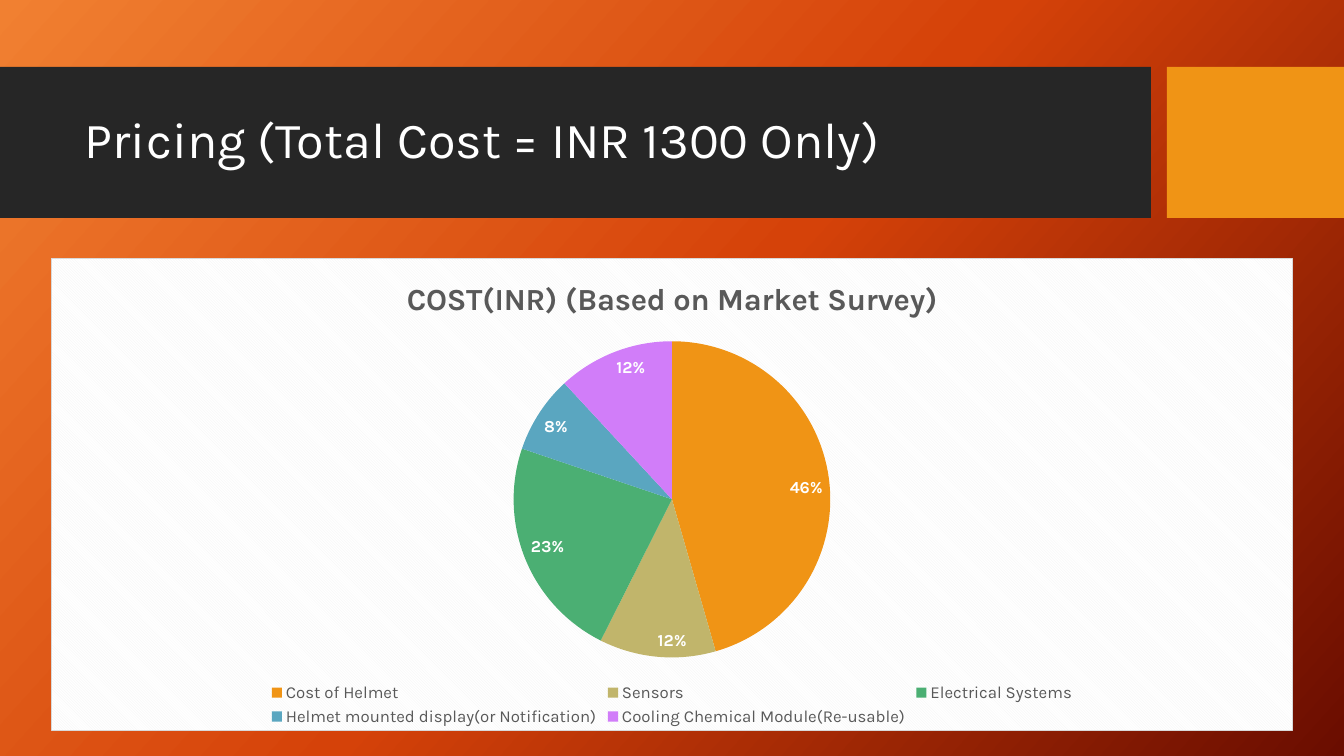
from copy import deepcopy

from lxml import etree
from pptx import Presentation
from pptx.chart.data import CategoryChartData
from pptx.dml.color import RGBColor
from pptx.enum.chart import XL_CHART_TYPE, XL_LABEL_POSITION, XL_LEGEND_POSITION
from pptx.enum.shapes import MSO_SHAPE
from pptx.enum.text import MSO_ANCHOR
from pptx.oxml.ns import nsdecls, qn
from pptx.util import Emu, Pt

PIE = XL_CHART_TYPE.PIE
INSIDE_END = XL_LABEL_POSITION.INSIDE_END
BOTTOM = XL_LEGEND_POSITION.BOTTOM
RECTANGLE = MSO_SHAPE.RECTANGLE
MIDDLE = MSO_ANCHOR.MIDDLE

FONT = "Karla"
WHITE, GREY = "FFFFFF", "595959"
SLIDE_WIDTH, SLIDE_HEIGHT = 1344, 756
EMU_PER_PX = 12192000 / SLIDE_WIDTH

HEADING = "Pricing (Total Cost = INR 1300 Only)"
CHART_TITLE = "COST(INR) (Based on Market Survey)"
COSTS = [
    ("Cost of Helmet", 46, "F09415"),
    ("Sensors", 12, "C1B56B"),
    ("Electrical Systems", 23, "4BAF73"),
    ("Helmet mounted display(or Notification)", 8, "5AA6C0"),
    ("Cooling Chemical Module(Re-usable)", 12, "D17DF9"),
]
BACKGROUND_STOPS = [(0, "F18031"), (0.5, "D54209"), (1, "6A0D00")]
BACKGROUND_ANGLE = 360 - 42

BANDS = [((0, 67, 1151, 151), "262626"), ((1167, 67, 177, 151), "F09415")]
HEADING_BOX = (75, 83, 1059, 119)
CHART_BOX = (51, 258, 1242, 473)

CHART_AREA = f"""<c:spPr {nsdecls("c", "a")}>
  <a:pattFill prst="dkDnDiag">
    <a:fgClr><a:srgbClr val="F2F2F2"/></a:fgClr>
    <a:bgClr><a:srgbClr val="FFFFFF"/></a:bgClr>
  </a:pattFill>
  <a:ln w="9525"><a:solidFill><a:srgbClr val="D9D9D9"/></a:solidFill></a:ln>
</c:spPr>"""


def px(*lengths):
    return [Emu(round(length * EMU_PER_PX)) for length in lengths]


def rgb(value):
    return RGBColor.from_string(value)


def style(font, size, color, bold=False):
    font.name = FONT
    font.size = Pt(size)
    font.bold = bold
    font.color.rgb = rgb(color)


def paint_background(slide):
    fill = slide.background.fill
    fill.gradient()
    fill.gradient_angle = BACKGROUND_ANGLE
    stop_list = slide.element.find(".//" + qn("a:gsLst"))
    stop_list.append(deepcopy(stop_list[0]))
    for stop, (position, color) in zip(fill.gradient_stops, BACKGROUND_STOPS):
        stop.position = position
        stop.color.rgb = rgb(color)


def add_header(slide):
    for box, color in BANDS:
        band = slide.shapes.add_shape(RECTANGLE, *px(*box))
        band.shadow.inherit = False
        band.fill.solid()
        band.fill.fore_color.rgb = rgb(color)
        band.line.fill.background()
    frame = slide.shapes.add_textbox(*px(*HEADING_BOX)).text_frame
    frame.word_wrap = True
    frame.vertical_anchor = MIDDLE
    frame.text = HEADING
    heading = frame.paragraphs[0]
    heading.line_spacing = 0.9
    style(heading.runs[0].font, 36, WHITE)


def add_cost_chart(slide):
    names, values, colors = zip(*COSTS)
    data = CategoryChartData()
    data.categories = names
    data.add_series(CHART_TITLE, values)
    chart = slide.shapes.add_chart(PIE, *px(*CHART_BOX), data).chart
    style(chart.font, 10, WHITE)
    chart.element.find(qn("c:chart")).addnext(etree.fromstring(CHART_AREA))

    chart.has_title = True
    title = chart.chart_title.text_frame
    title.text = CHART_TITLE
    style(title.paragraphs[0].runs[0].font, 22, GREY, bold=True)

    chart.has_legend = True
    chart.legend.position = BOTTOM
    chart.legend.include_in_layout = False
    style(chart.legend.font, 12, GREY)

    pie = chart.plots[0]
    pie.vary_by_categories = True
    for index, color in enumerate(colors):
        piece = pie.series[0].points[index].format
        piece.fill.solid()
        piece.fill.fore_color.rgb = rgb(color)
        piece.line.fill.background()

    pie.has_data_labels = True
    labels = pie.data_labels
    labels.show_percentage = True
    labels.show_value = False
    labels.number_format = "0%"
    labels.number_format_is_linked = False
    labels.position = INSIDE_END
    style(labels.font, 12, WHITE, bold=True)


def main():
    deck = Presentation()
    deck.slide_width, deck.slide_height = px(SLIDE_WIDTH, SLIDE_HEIGHT)
    slide = deck.slides.add_slide(deck.slide_layouts[6])
    paint_background(slide)
    add_header(slide)
    add_cost_chart(slide)
    deck.save("out.pptx")


if __name__ == "__main__":
    main()
